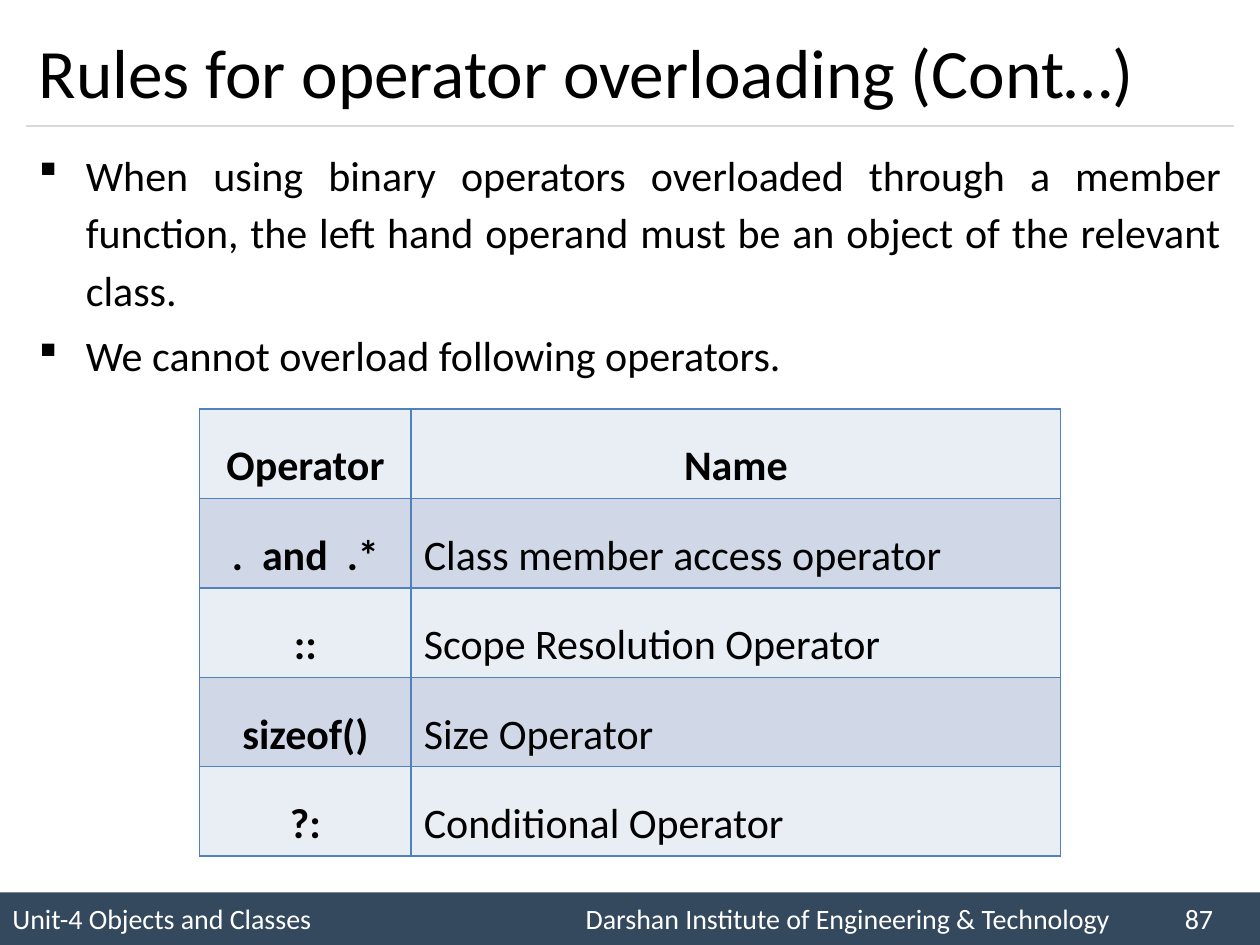
from dataclasses import dataclass

from lxml import etree
from pptx import Presentation
from pptx.dml.color import RGBColor as RGB
from pptx.enum.shapes import MSO_CONNECTOR as CONN, MSO_SHAPE as SHAPE
from pptx.enum.text import MSO_ANCHOR as ANCHOR, PP_ALIGN as ALIGN
from pptx.oxml.ns import qn
from pptx.util import Pt


@dataclass(frozen=True)
class Theme:
    font: str = "Calibri"
    ink: str = "000000"
    white: str = "FFFFFF"
    footer: str = "34495E"
    rule: str = "D9D9D9"
    border: str = "4F81BD"
    bands: tuple = ("E9EDF4", "D0D8E8")
    title_size: float = 39.6
    body_size: float = 24
    footer_size: float = 16


T = Theme()


def add_run(p, text, size, color=T.ink, bold=False):
    r = p.add_run()
    r.text = text
    r.font.name = T.font
    r.font.size = Pt(size)
    r.font.bold = bold
    r.font.color.rgb = RGB.from_string(color)


def add_text_box(s, top, height, anchor):
    tf = s.shapes.add_textbox(Pt(15), Pt(top), Pt(690), Pt(height)).text_frame
    tf.word_wrap = True
    tf.vertical_anchor = anchor
    return tf


prs = Presentation()
prs.slide_width, prs.slide_height = Pt(720), Pt(540)
s = prs.slides.add_slide(prs.slide_layouts[6])

footer = s.shapes.add_shape(SHAPE.RECTANGLE, 0, Pt(510), Pt(720), Pt(30))
footer.shadow.inherit = False
footer.fill.solid()
footer.fill.fore_color.rgb = RGB.from_string(T.footer)
footer.line.fill.background()
footer.text_frame.vertical_anchor = ANCHOR.MIDDLE
p = footer.text_frame.paragraphs[0]
p.alignment = ALIGN.LEFT
tabs = etree.SubElement(p._p.get_or_add_pPr(), qn("a:tabLst"))
for position in (327.6, 670):
    etree.SubElement(tabs, qn("a:tab"), pos=str(Pt(position)), algn="l")
add_run(p, "Unit-4 Objects and Classes\tDarshan Institute of Engineering & Technology\t87",
        T.footer_size, T.white)

rule = s.shapes.add_connector(CONN.STRAIGHT, Pt(15), Pt(72), Pt(705), Pt(72))
rule.line.color.rgb = RGB.from_string(T.rule)
rule.line.width = Pt(0.75)
etree.SubElement(rule._element.spPr, qn("a:effectLst"))

tf = add_text_box(s, 8.64, 63.36, ANCHOR.MIDDLE)
add_run(tf.paragraphs[0], "Rules for operator overloading (Cont…)", T.title_size)

bullets = [
    ("When using binary operators overloaded through a member function, "
     "the left hand operand must be an object of the relevant class.", ALIGN.JUSTIFY),
    ("We cannot overload following operators.", ALIGN.LEFT),
]
tf = add_text_box(s, 77.76, 150, ANCHOR.TOP)
for i, (text, align) in enumerate(bullets):
    p = tf.add_paragraph() if i else tf.paragraphs[0]
    p.alignment = align
    p.line_spacing = 1.14
    p.space_before = Pt(4.8 if i else 0)
    pPr = p._p.get_or_add_pPr()
    pPr.set("marL", str(Pt(27)))
    pPr.set("indent", str(Pt(-27)))
    etree.SubElement(pPr, qn("a:buFont"), typeface="Wingdings")
    etree.SubElement(pPr, qn("a:buChar"), char="§")
    add_run(p, text, T.body_size)

rows = [
    ("Operator", "Name"),
    (".  and  .*", "Class member access operator"),
    ("::", "Scope Resolution Operator"),
    ("sizeof()", "Size Operator"),
    ("?:", "Conditional Operator"),
]
table = s.shapes.add_table(len(rows), 2, Pt(114), Pt(233.8), Pt(492), Pt(255.5)).table
for column, width in zip(table.columns, (121, 371)):
    column.width = Pt(width)
for i, row in enumerate(rows):
    table.rows[i].height = Pt(51.1)
    for j, text in enumerate(row):
        cell = table.cell(i, j)
        cell.vertical_anchor = ANCHOR.MIDDLE
        tcPr = cell._tc.get_or_add_tcPr()
        for side in ("lnL", "lnR", "lnT", "lnB"):
            ln = etree.SubElement(tcPr, qn(f"a:{side}"), w=str(Pt(1)))
            fill = etree.SubElement(ln, qn("a:solidFill"))
            etree.SubElement(fill, qn("a:srgbClr"), val=T.border)
        cell.fill.solid()
        cell.fill.fore_color.rgb = RGB.from_string(T.bands[i % 2])
        emphasized = i == 0 or j == 0
        p = cell.text_frame.paragraphs[0]
        p.alignment = ALIGN.CENTER if emphasized else ALIGN.LEFT
        p.line_spacing = 1.5
        add_run(p, text, T.body_size, bold=emphasized)

prs.save("out.pptx")
